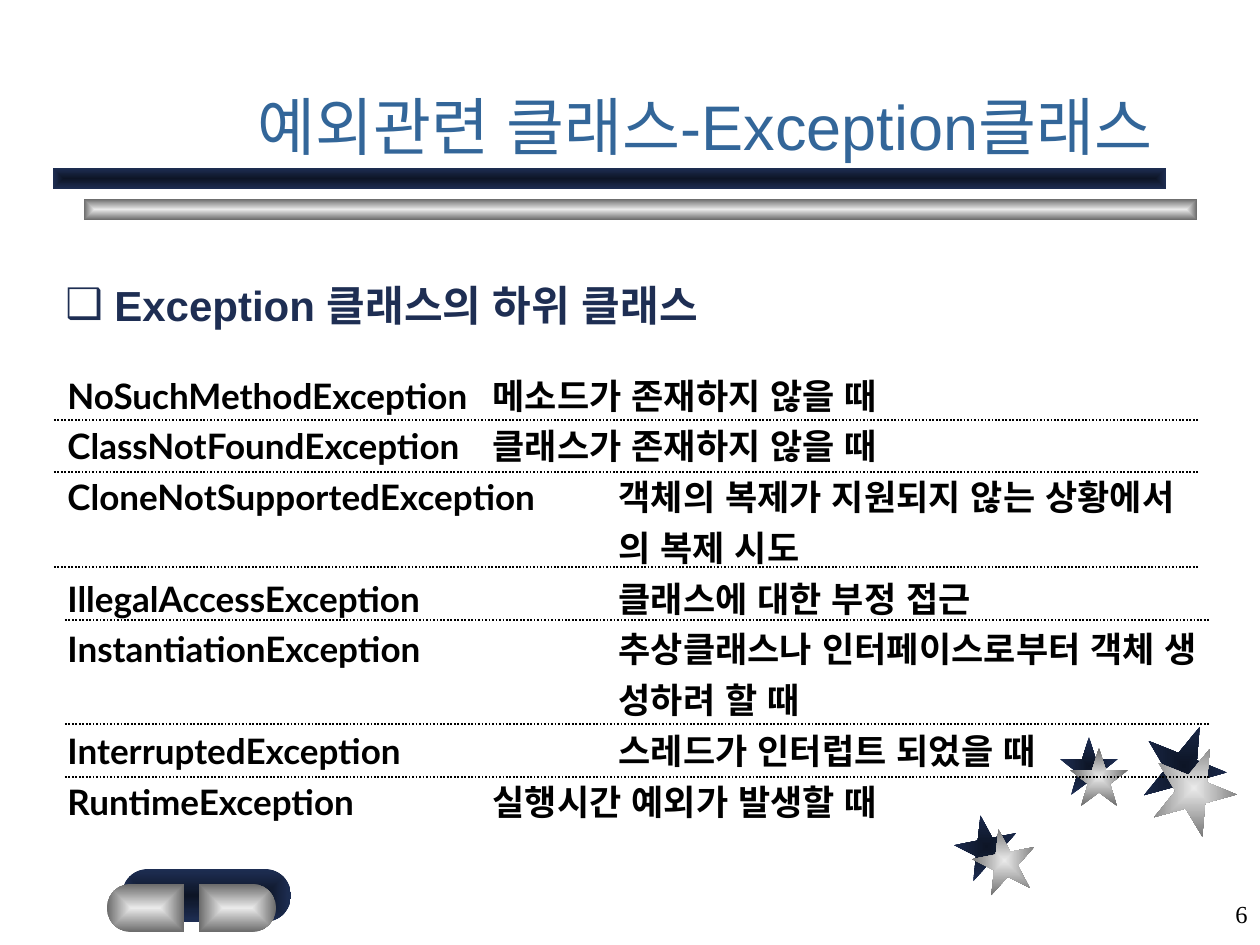
import math
from dataclasses import dataclass

import pptx
import pptx.util
import pptx.dml.color
import pptx.enum.dml
import pptx.enum.shapes
import pptx.enum.text
import pptx.oxml
import pptx.oxml.ns
from lxml import etree

SHAPE = pptx.enum.shapes.MSO_SHAPE
ALIGN = pptx.enum.text.PP_ALIGN
ANCHOR = pptx.enum.text.MSO_ANCHOR
qn = pptx.oxml.ns.qn


@dataclass(frozen=True)
class Theme:
    title_blue: str = "336699"
    navy: str = "1E2E53"
    black: str = "000000"
    navy_fade: tuple = ("0D1526", "1E2E53")
    silver_fade: tuple = ("EAEAEA", "6B6B6B")
    sans: str = "Arial"
    body: str = "Lato"
    korean: str = "Arial"
    serif: str = "Times New Roman"
    title_size: int = 36
    heading_size: int = 24
    body_size: int = 20
    number_size: int = 14


THEME = Theme()
NEAR_TAB, FAR_TAB = 425, 551

# Each row: class name, description, tab stop of the description
ROWS = [
    ("NoSuchMethodException", "메소드가 존재하지 않을 때", NEAR_TAB),
    ("ClassNotFoundException", "클래스가 존재하지 않을 때", NEAR_TAB),
    ("CloneNotSupportedException", "객체의 복제가 지원되지 않는 상황에서", FAR_TAB),
    ("", "의 복제 시도", FAR_TAB),
    ("IllegalAccessException", "클래스에 대한 부정 접근", FAR_TAB),
    ("InstantiationException", "추상클래스나 인터페이스로부터 객체 생", FAR_TAB),
    ("", "성하려 할 때", FAR_TAB),
    ("InterruptedException", "스레드가 인터럽트 되었을 때", FAR_TAB),
    ("RuntimeException", "실행시간 예외가 발생할 때", NEAR_TAB),
]

# Row rules: left end and height
RULES = [(54, 420), (54, 472), (54, 567), (65, 620), (65, 724), (65, 777)]
RULE_WIDTH = 1145

# Stars: left, top, size, rotation
NAVY_STARS = [(955, 815, 63, 349), (1060, 737, 58, 0), (1142, 724, 84, 22)]
SILVER_STARS = [(973, 829, 63, 349), (1070, 748, 58, 0), (1152, 746, 84, 22)]


def px(length):
    return pptx.util.Emu(round(length * 914400 / 126))


def rgb(value):
    return pptx.dml.color.RGBColor.from_string(value)


def finish_shape(shape, fade):
    """Gradient from the centre outwards, no outline, no shadow."""
    shape.shadow.inherit = False
    shape.line.fill.background()
    shape.fill.gradient()
    for stop, color, position in zip(shape.fill.gradient_stops, fade, (0, 1)):
        stop.color.rgb = rgb(color)
        stop.position = position
    gradient = shape._element.spPr.find(qn("a:gradFill"))
    gradient.remove(gradient.find(qn("a:lin")))
    path = etree.SubElement(gradient, qn("a:path"), path="rect")
    etree.SubElement(path, qn("a:fillToRect"), l="50000", t="50000", r="50000", b="50000")


def add_preset(page, kind, box, fade, rotation=0):
    shape = page.shapes.add_shape(kind, *map(px, box))
    shape.rotation = rotation
    finish_shape(shape, fade)
    return shape


def add_half_pill(page, flat_x, direction):
    """Half pill whose rounded end points in the direction (-1 left, 1 right)."""
    middle, radius, straight = 908, 24, 53
    round_x = flat_x + direction * straight
    arc = [math.radians(angle) for angle in range(-90, 91, 15)]
    points = [(px(round_x + direction * radius * math.cos(a)),
               px(middle + radius * math.sin(a))) for a in arc]
    points.append((px(flat_x), px(middle + radius)))
    builder = page.shapes.build_freeform(px(flat_x), px(middle - radius))
    builder.add_line_segments(points, close=True)
    finish_shape(builder.convert_to_shape(), THEME.silver_fade)


def add_rule(page, left, top):
    rule = page.shapes.add_connector(
        pptx.enum.shapes.MSO_CONNECTOR.STRAIGHT,
        px(left), px(top), px(left + RULE_WIDTH), px(top))
    rule.line.color.rgb = rgb(THEME.black)
    rule.line.width = pptx.util.Pt(1)
    rule.line.dash_style = pptx.enum.dml.MSO_LINE.ROUND_DOT
    etree.SubElement(rule._element.spPr, qn("a:effectLst"))


def add_text_box(page, box, wrap=True, anchor=ANCHOR.TOP):
    frame = page.shapes.add_textbox(*map(px, box)).text_frame
    frame.word_wrap = wrap
    frame.vertical_anchor = anchor
    return frame


def set_font(para, name, size, color, bold=False):
    font = para.font
    font.name, font.size, font.bold = name, pptx.util.Pt(size), bold
    font.color.rgb = rgb(color)
    defaults = para._p.pPr.find(qn("a:defRPr"))
    etree.SubElement(defaults, qn("a:ea"), typeface=THEME.korean)


def add_title(page, text):
    title = page.shapes.title
    title.left, title.top, title.width, title.height = map(px, (94, 53, 1071, 116))
    frame = title.text_frame
    frame.text = text
    frame.vertical_anchor = ANCHOR.BOTTOM
    para = frame.paragraphs[0]
    para.alignment = ALIGN.RIGHT
    set_font(para, THEME.sans, THEME.title_size, THEME.title_blue)


def add_heading(page, text):
    para = add_text_box(page, (53, 273, 687, 63), wrap=False).paragraphs[0]
    para.text = text
    props = para._p.get_or_add_pPr()
    props.set("marL", str(px(49)))
    props.set("indent", str(-px(49)))
    color = etree.SubElement(props, qn("a:buClr"))
    etree.SubElement(color, qn("a:srgbClr"), val=THEME.navy)
    etree.SubElement(props, qn("a:buFont"), typeface=THEME.sans)
    etree.SubElement(props, qn("a:buChar"), char="❑")
    set_font(para, THEME.sans, THEME.heading_size, THEME.navy, bold=True)


def add_class_list(page, rows):
    frame = add_text_box(page, (55, 368, 1166, 577))
    for index, (name, description, stop) in enumerate(rows):
        para = frame.add_paragraph() if index else frame.paragraphs[0]
        para.text = f"{name}\t{description}"
        para.space_before = pptx.util.Pt(5 if index else 0)
        tabs = etree.SubElement(para._p.get_or_add_pPr(), qn("a:tabLst"))
        etree.SubElement(tabs, qn("a:tab"), pos=str(px(stop)), algn="l")
        set_font(para, THEME.body, THEME.body_size, THEME.black, bold=True)


def add_page_number(page, number):
    frame = add_text_box(page, (998, 882, 262, 63), anchor=ANCHOR.MIDDLE)
    para = frame.paragraphs[0]
    para.text = number
    para.alignment = ALIGN.RIGHT
    set_font(para, THEME.serif, THEME.number_size, THEME.black)


def main():
    deck = pptx.Presentation()
    deck.slide_width, deck.slide_height = px(1260), px(945)
    page = deck.slides.add_slide(deck.slide_layouts[5])

    # Decoration: stars, title bars, pill
    for stars, fade in ((NAVY_STARS, THEME.navy_fade), (SILVER_STARS, THEME.silver_fade)):
        for left, top, size, rotation in stars:
            add_preset(page, SHAPE.STAR_5_POINT, (left, top, size, size), fade, rotation)
    add_preset(page, SHAPE.RECTANGLE, (84, 199, 1113, 21), THEME.silver_fade)
    add_preset(page, SHAPE.RECTANGLE, (53, 168, 1113, 21), THEME.navy_fade)
    pill = add_preset(page, SHAPE.ROUNDED_RECTANGLE, (122, 869, 169, 53), THEME.navy_fade)
    pill.adjustments[0] = 0.5
    add_half_pill(page, 184, -1)
    add_half_pill(page, 199, 1)

    # Content
    add_title(page, "예외관련 클래스-Exception클래스")
    add_class_list(page, ROWS)
    for left, top in RULES:
        add_rule(page, left, top)
    add_heading(page, "Exception 클래스의 하위 클래스")
    add_page_number(page, "6")

    deck.save("out.pptx")


if __name__ == "__main__":
    main()
